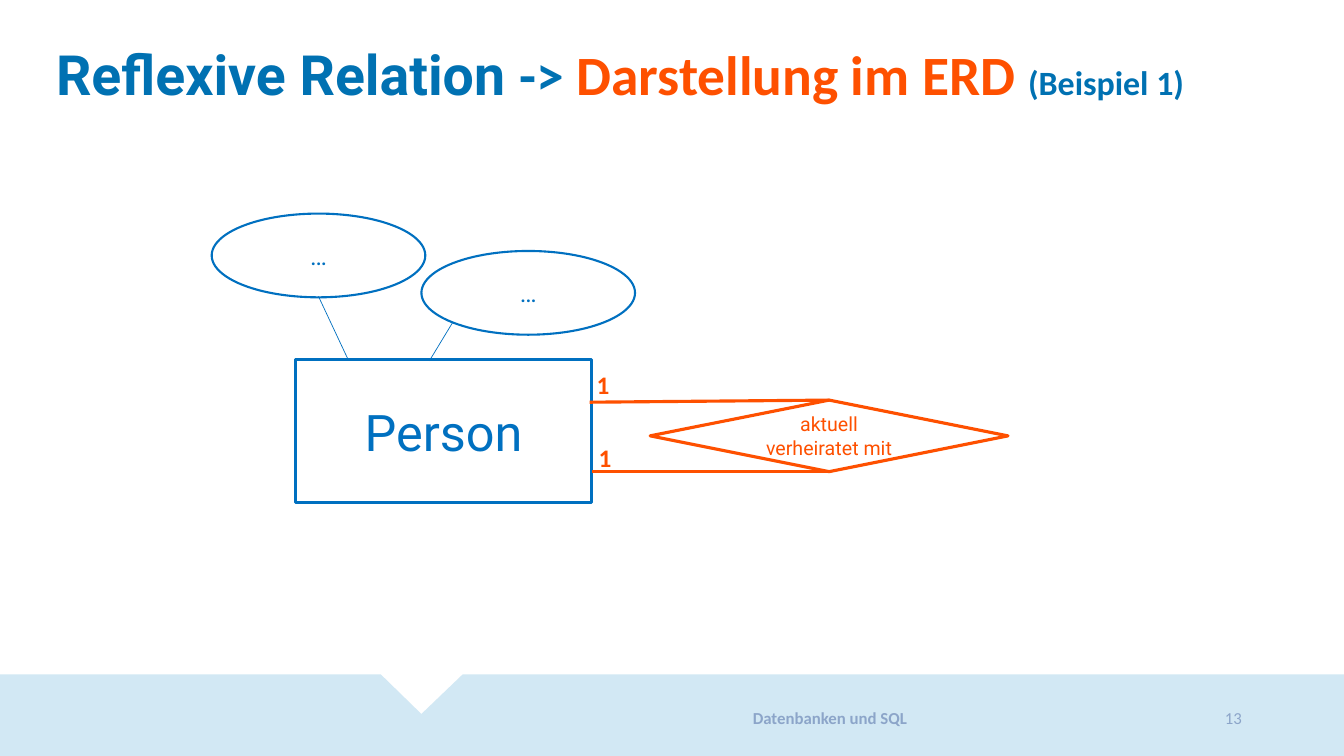
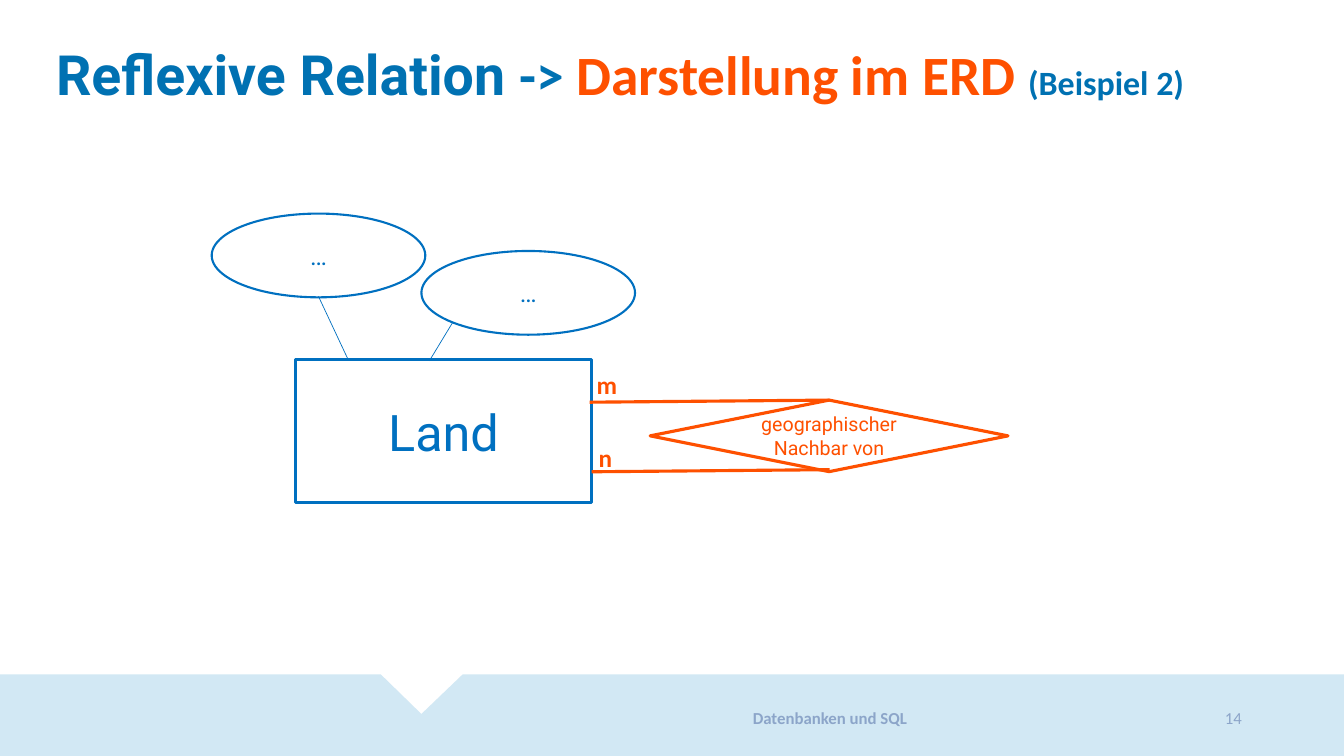
import pptx
import pptx.util
import pptx.dml.color
import pptx.enum.shapes
import pptx.enum.text
import pptx.oxml.ns
import lxml.etree

Pt = pptx.util.Pt
SHAPES = pptx.enum.shapes.MSO_SHAPE
ALIGN = pptx.enum.text.PP_ALIGN
ANCHOR = pptx.enum.text.MSO_ANCHOR

WIDTH, HEIGHT = 960, 540
TITLE_BLUE = "0071B2"
BLUE = "0070C0"
ORANGE = "FE5000"
BAND = "D2E8F4"
FOOTER = "8CA5C9"
HEADING_FONT = "Roboto"
BODY_FONT = "Calibri"


def color(value):
    return pptx.dml.color.RGBColor.from_string(value)


def add_span(para, text, size, font, value, bold=False):
    span = para.add_run()
    span.text = text
    span.font.size = Pt(size)
    span.font.name = font
    span.font.bold = bold
    span.font.color.rgb = color(value)


def add_text(page, area, spans, align=ALIGN.LEFT, anchor=ANCHOR.TOP, wrap=True):
    box = page.shapes.add_textbox(*map(Pt, area))
    box.text_frame.word_wrap = wrap
    box.text_frame.vertical_anchor = anchor
    para = box.text_frame.paragraphs[0]
    para.alignment = align
    for span in spans:
        add_span(para, *span)
    return para


def add_node(page, kind, area, lines, size, value, weight):
    node = page.shapes.add_shape(kind, *map(Pt, area))
    node.shadow.inherit = False
    node.fill.background()
    node.line.color.rgb = color(value)
    node.line.width = Pt(weight)
    frame = node.text_frame
    frame.word_wrap = True
    frame.vertical_anchor = ANCHOR.MIDDLE
    for index, text in enumerate(lines):
        para = frame.add_paragraph() if index else frame.paragraphs[0]
        para.alignment = ALIGN.CENTER
        add_span(para, text, size, HEADING_FONT, value)


def add_line(page, start, end, value, weight):
    line = page.shapes.add_connector(
        pptx.enum.shapes.MSO_CONNECTOR.STRAIGHT, *map(Pt, start + end))
    line.line.color.rgb = color(value)
    line.line.width = Pt(weight)
    properties = line._element.spPr
    lxml.etree.SubElement(properties, pptx.oxml.ns.qn("a:effectLst"))


def add_band(page):
    top = 481.7
    outline = page.shapes.build_freeform(0, Pt(top), 1.0)
    corners = [(272, top), (301, 510), (330.5, top), (WIDTH, top),
               (WIDTH, HEIGHT), (0, HEIGHT)]
    outline.add_line_segments([(Pt(x), Pt(y)) for x, y in corners], close=True)
    band = outline.convert_to_shape()
    band.shadow.inherit = False
    band.fill.solid()
    band.fill.fore_color.rgb = color(BAND)
    band.line.fill.background()


def add_frame(page, example, number):
    add_band(page)
    title = add_text(page, (33, 30.2, 851, 57), [
        ("Reflexive Relation ", 39.6, HEADING_FONT, TITLE_BLUE, True),
        ("-> ", 39.6, BODY_FONT, TITLE_BLUE, True),
        ("Darstellung im ERD ", 39.6, BODY_FONT, ORANGE, True),
        (f"(Beispiel {example})", 24.3, BODY_FONT, TITLE_BLUE, True),
    ])
    title.line_spacing = 0.9
    add_text(page, (422.6, 496.8, 340.6, 32.4),
             [("Datenbanken und SQL", 12, BODY_FONT, FOOTER, True)],
             ALIGN.CENTER, ANCHOR.MIDDLE)
    add_text(page, (763.2, 496.8, 131, 32.4),
             [(str(number), 12, BODY_FONT, FOOTER)],
             ALIGN.RIGHT, ANCHOR.MIDDLE)


def add_diagram(page, entity, relation, cardinalities, lower_end):
    add_node(page, SHAPES.RECTANGLE, (211, 257, 211.7, 102.2),
             [entity], 36, BLUE, 2.25)
    add_node(page, SHAPES.DIAMOND, (464.4, 285.8, 255.6, 51.1),
             relation, 14, ORANGE, 2.25)
    for left, top in [(151.2, 152.6), (301, 179.3)]:
        add_node(page, SHAPES.OVAL, (left, top, 152.6, 59.8),
                 ["…"], 18, BLUE, 1.5)
    add_line(page, (227.5, 211.7), (248.4, 256.3), BLUE, 0.5)
    add_line(page, (323.3, 230.4), (306.7, 257.8), BLUE, 0.5)
    add_line(page, (592.6, 285.8), (421.2, 287.3), ORANGE, 2.25)
    add_line(page, (592.6, lower_end), (422.6, 337), ORANGE, 2.25)
    places = [(419, 260.6), (420.5, 312.5)]
    for place, text in zip(places, cardinalities):
        add_text(page, place + (24, 28.8),
                 [(text, 18, BODY_FONT, ORANGE, True)], wrap=False)


def main():
    deck = pptx.Presentation()
    deck.slide_width, deck.slide_height = Pt(WIDTH), Pt(HEIGHT)
    examples = [
        ("Person", ["aktuell", "verheiratet mit"], "11", 337),
        ("Land", ["geographischer", "Nachbar von"], "mn", 335.5),
    ]
    for example, diagram in enumerate(examples, 1):
        page = deck.slides.add_slide(deck.slide_layouts[6])
        add_frame(page, example, example + 12)
        add_diagram(page, *diagram)
    deck.save("out.pptx")


if __name__ == "__main__":
    main()
